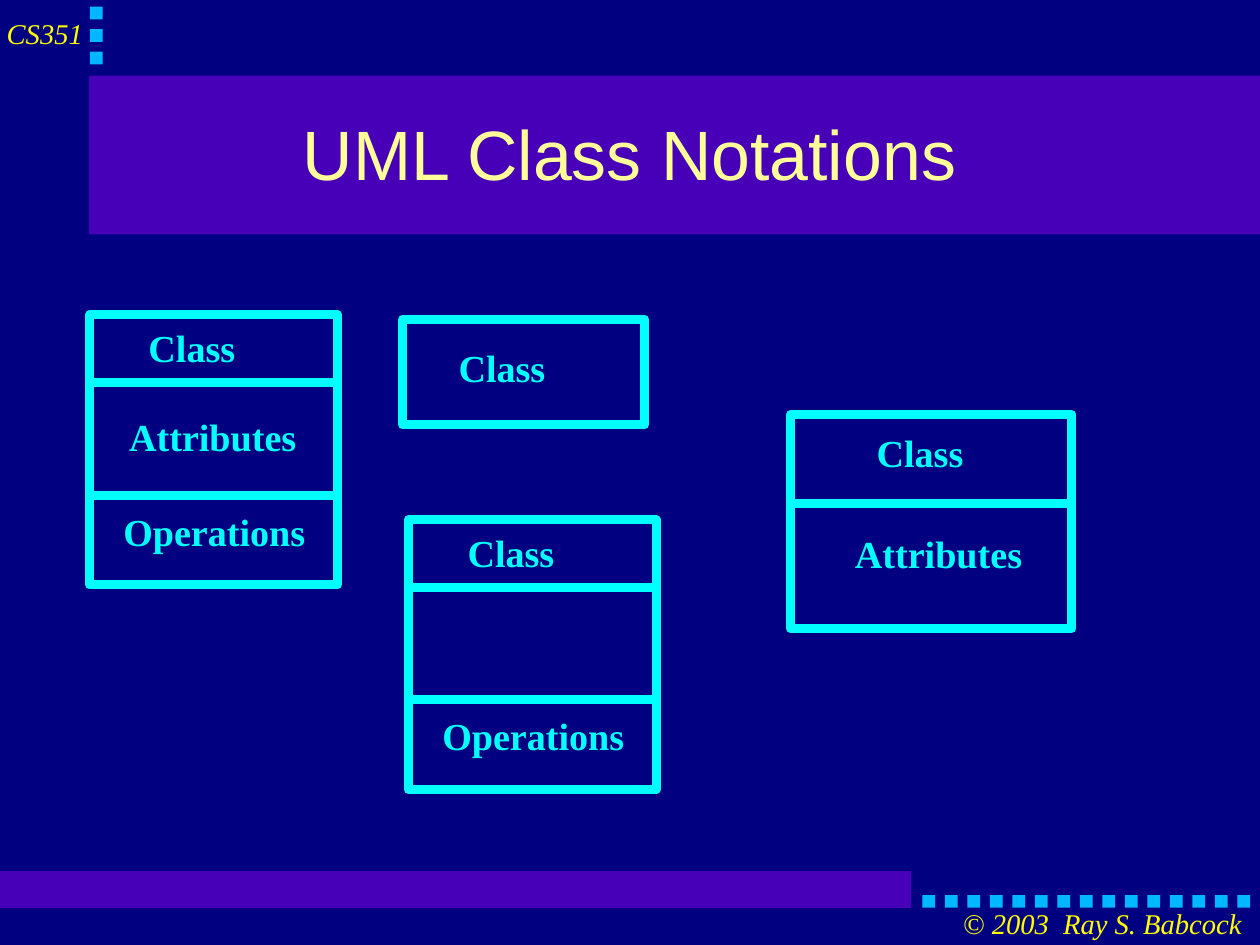
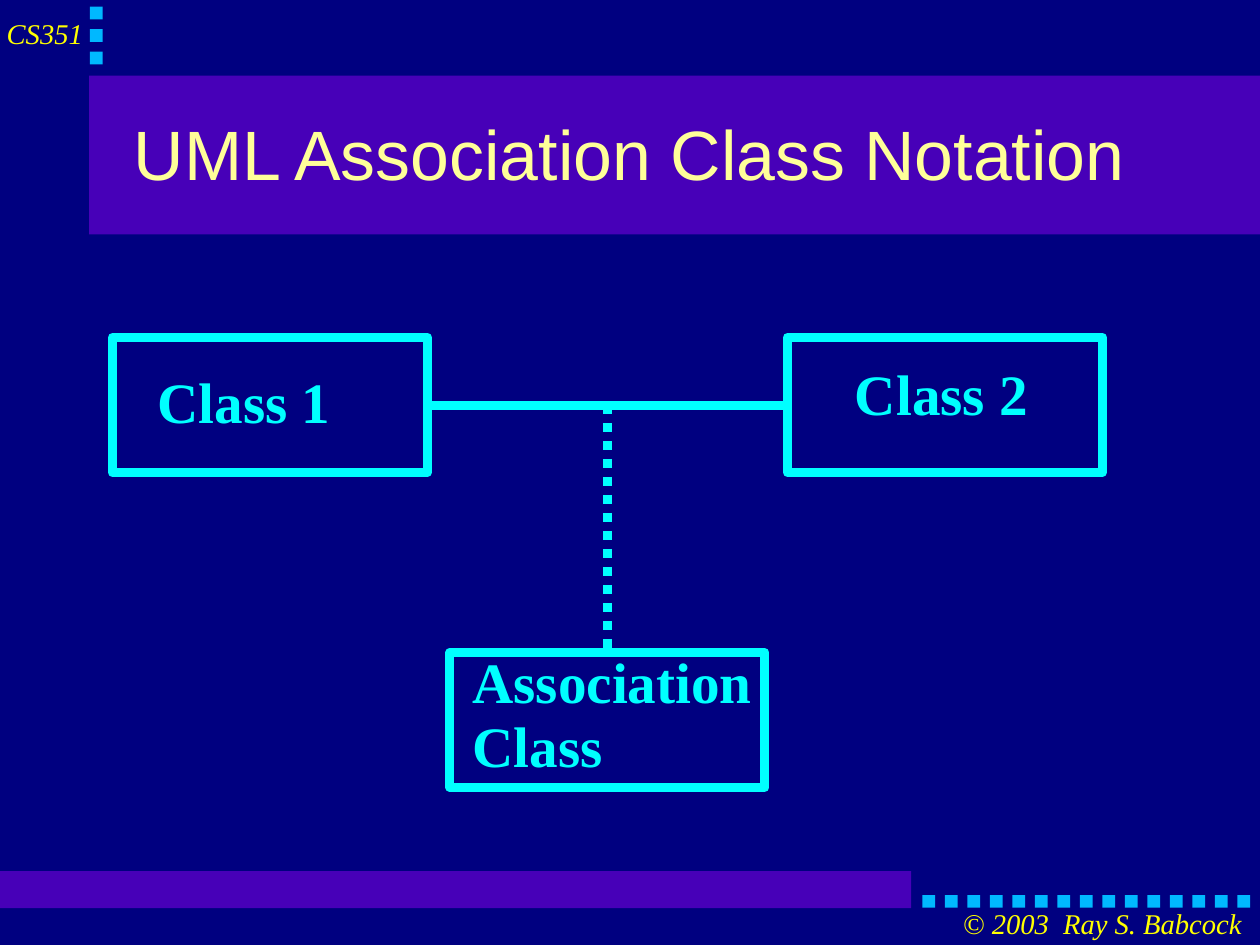
from lxml import etree
from pptx import Presentation
from pptx import util as u
from pptx.dml.color import RGBColor
from pptx.enum import dml, shapes, text
from pptx.oxml import ns

NAVY = RGBColor(0x00, 0x00, 0x80)
PURPLE = RGBColor(0x47, 0x00, 0xB8)
SKY = RGBColor(0x00, 0xB8, 0xFF)
CYAN = RGBColor(0x00, 0xFF, 0xFF)
YELLOW = RGBColor(0xFF, 0xFF, 0x00)
CREAM = RGBColor(0xFF, 0xFF, 0x99)
SERIF = "Times New Roman"
SANS = "Arial"
STROKE = u.Pt(5.67)

deck = Presentation()
deck.slide_width = u.Cm(28)
deck.slide_height = u.Cm(21)
COLUMN = deck.slide_width // 28
ROW = deck.slide_height // 21

fill = deck.slide_master.background.fill
fill.solid()
fill.fore_color.rgb = NAVY


def add_block(page, left, top, width, height, color=None):
    block = page.shapes.add_shape(
        shapes.MSO_SHAPE.RECTANGLE,
        round(left * COLUMN), round(top * ROW), round(width * COLUMN), round(height * ROW),
    )
    block.shadow.inherit = False
    if color is None:
        block.fill.background()
        block.line.color.rgb = CYAN
        block.line.width = STROKE
    else:
        block.fill.solid()
        block.fill.fore_color.rgb = color
        block.line.fill.background()


def add_label(page, left, top, width, height, lines, size, color, face=SERIF, bold=False, italic=False):
    box = page.shapes.add_textbox(
        round(left * COLUMN), round(top * ROW), round(width * COLUMN), round(height * ROW)
    )
    frame = box.text_frame
    frame.word_wrap = True
    frame.margin_left = frame.margin_right = frame.margin_top = frame.margin_bottom = 0
    for number, line in enumerate(lines):
        para = frame.add_paragraph() if number else frame.paragraphs[0]
        para.line_spacing = 0.93
        span = para.add_run()
        span.text = line
        span.font.size = u.Pt(size)
        span.font.name = face
        span.font.color.rgb = color
        span.font.bold = bold
        span.font.italic = italic
    return frame


bands = [(1.98, 1.68, 26.02, 3.53), (0, 19.36, 20.25, 0.82)]
squares = [(2, 0.15 + 0.5 * step) for step in range(3)]
squares += [(20.5 + 0.5 * step, 19.89) for step in range(15)]

# Each class: left, top, width, compartments of (height, lines, indent, drop)
pages = [
    {
        "title": "UML Class Notations",
        "size": 24,
        "classes": [
            (2, 7, 5.5, [(1.5, ["Class"], 1.3, 0.31), (2.5, ["Attributes"], 0.87, 0.77),
                         (2, ["Operations"], 0.74, 0.38)]),
            (8.95, 7.1, 5.38, [(2.34, ["Class"], 1.24, 0.65)]),
            (9.08, 11.55, 5.5, [(1.5, ["Class"], 1.31, 0.31), (2.5, [], 0, 0),
                                (2, ["Operations"], 0.75, 0.38)]),
            (17.57, 9.22, 6.25, [(1.96, ["Class"], 1.91, 0.41), (2.79, ["Attributes"], 1.43, 0.7)]),
        ],
        "links": [],
    },
    {
        "title": "UML Association Class Notation",
        "size": 36,
        "classes": [
            (2.5, 7.5, 7, [(3, ["Class 1"], 1, 0.78)]),
            (17.5, 7.5, 7, [(3, ["Class 2"], 1.5, 0.6)]),
            (10, 14.5, 7, [(3, ["Association", "Class"], 0.5, 0)]),
        ],
        "links": [(9.5, 9, 17.5, 9, None), (13.5, 9, 13.5, 14.5, dml.MSO_LINE.ROUND_DOT)],
    },
]

for content in pages:
    page = deck.slides.add_slide(deck.slide_layouts[6])
    for band in bands:
        add_block(page, *band, PURPLE)
    for left, top in squares:
        add_block(page, left, top, 0.28, 0.28, SKY)
    add_label(page, 0.15, 0.43, 1.85, 0.71, ["CS351"], 18, YELLOW, italic=True)
    add_label(page, 21.4, 20.2, 6.35, 0.71, ["© 2003  Ray S. Babcock"], 18, YELLOW, italic=True)
    title = add_label(page, 2.05, 1.75, 23.9, 3.5, [content["title"]], 44, CREAM, SANS)
    title.vertical_anchor = text.MSO_ANCHOR.MIDDLE
    title.paragraphs[0].alignment = text.PP_ALIGN.CENTER

    links = list(content["links"])
    for left, top, width, compartments in content["classes"]:
        add_block(page, left, top, width, sum(part[0] for part in compartments))
        edge = top
        for height, lines, indent, drop in compartments:
            if edge > top:
                links.append((left, edge, left + width, edge, None))
            if lines:
                add_label(page, left + indent, edge + drop, width - indent, height - drop,
                          lines, content["size"], CYAN, bold=True)
            edge += height

    for start, above, end, below, dash in links:
        link = page.shapes.add_connector(
            shapes.MSO_CONNECTOR.STRAIGHT,
            round(start * COLUMN), round(above * ROW), round(end * COLUMN), round(below * ROW),
        )
        link.line.color.rgb = CYAN
        link.line.width = STROKE
        if dash is not None:
            link.line.dash_style = dash
        etree.SubElement(link._element.spPr, ns.qn("a:effectLst"))

deck.save("out.pptx")
